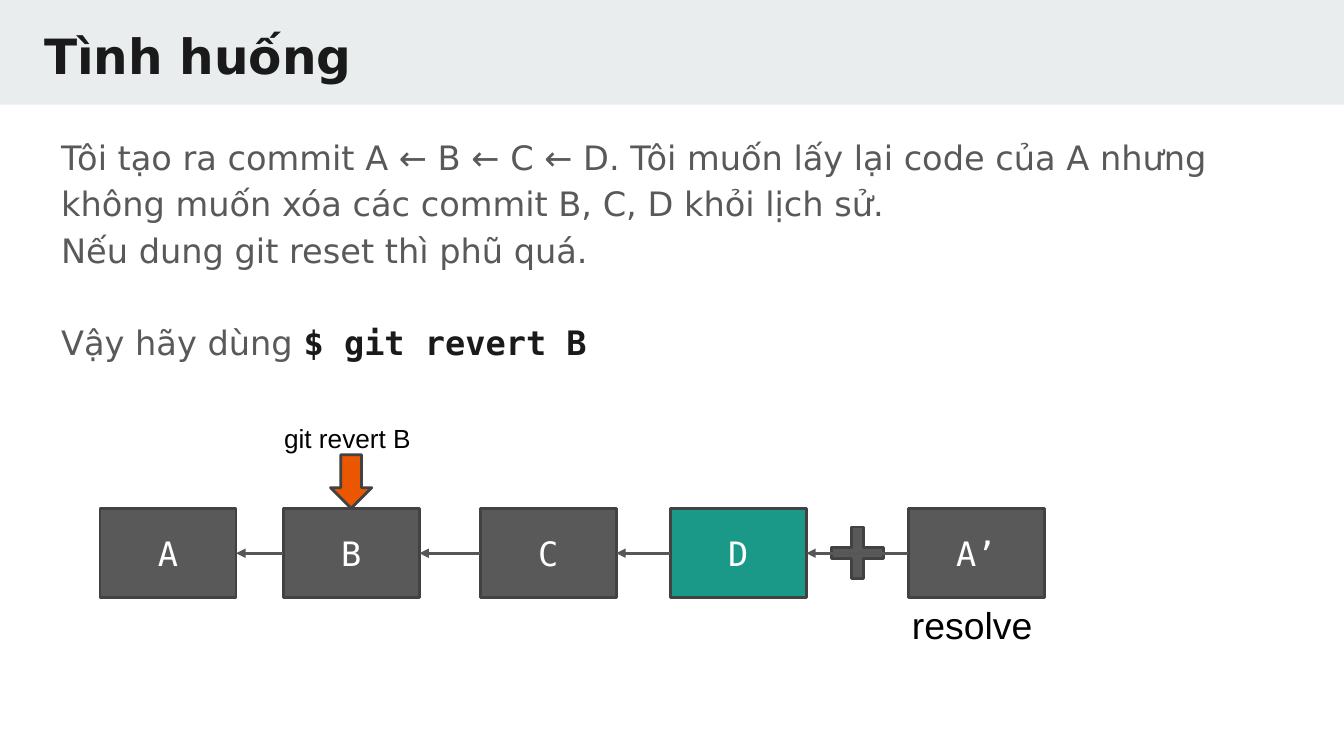
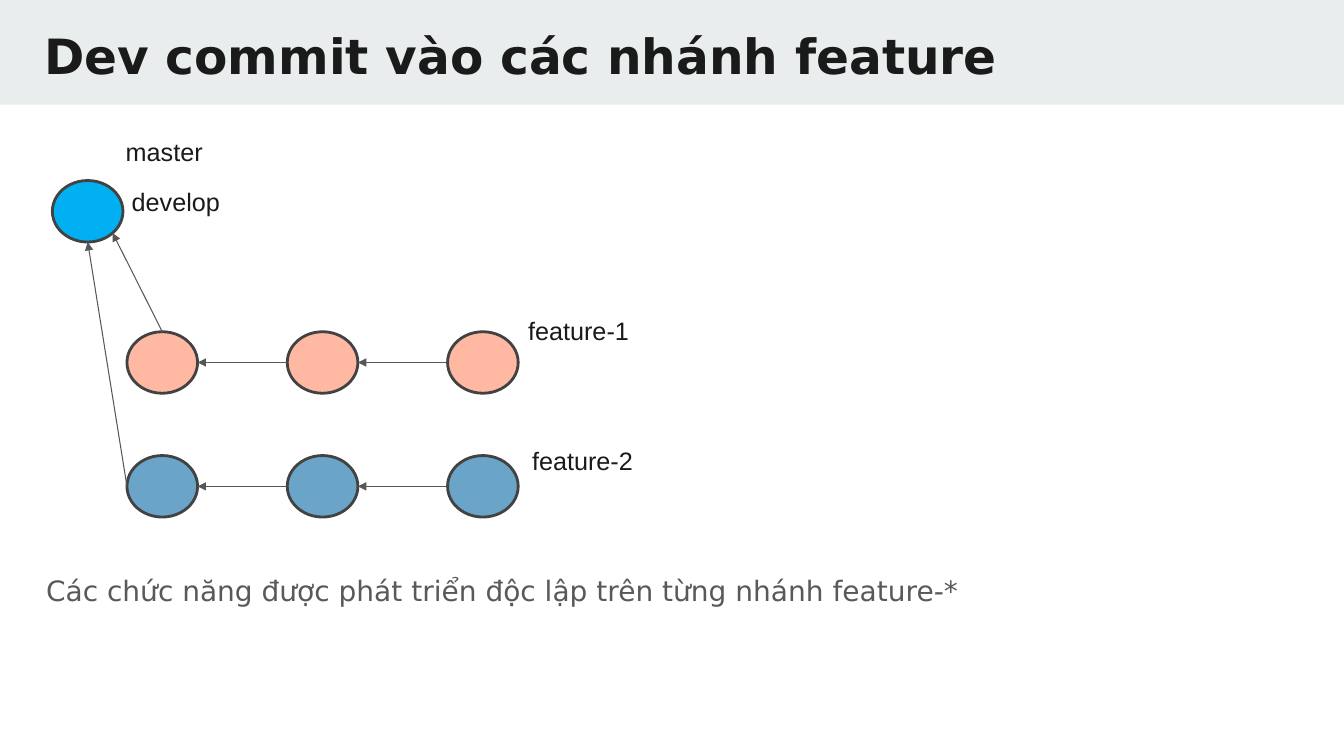
import math

from lxml import etree
from pptx import Presentation
from pptx import util as u
from pptx.dml import color
from pptx.enum import shapes, text
from pptx.oxml import ns

COLORS = {
    "band": "E9EDEE",
    "ink": "1A1A1A",
    "body": "595959",
    "outline": "424242",
    "arrow": "575757",
    "black": "000000",
    "white": "FFFFFF",
    "teal": "1A9988",
    "orange": "EB5600",
    "sky": "00B0F0",
    "peach": "FFB8A2",
    "steel": "6AA4C8",
}
SANS, MONO, LABEL = "DejaVu Sans", "DejaVu Sans Mono", "Arial"
KIND = shapes.MSO_SHAPE
LEFT, RIGHT = 1, 3


def rgb(name):
    return color.RGBColor.from_string(COLORS[name])


class Slides:
    def __init__(self):
        self.deck = Presentation()
        self.deck.slide_width, self.deck.slide_height = u.Cm(33.87), u.Cm(19.05)
        self.layout = self.deck.slide_layouts[1]
        self.page = None

    def start(self, title):
        first = self.page is None
        self.page = self.deck.slides.add_slide(self.layout)
        if first:
            band = self.shape(KIND.RECTANGLE, 0, 0, 33.87, 2.64, "band", outline=None)
            self.layout.shapes.element.insert(2, band.element)
        para = self.placeholder(self.page.shapes.title, 0.86, 0.41, 32.26, 1.98)
        para.alignment = text.PP_ALIGN.LEFT
        self.span(para, title, 34.7, SANS, "ink", bold=True)

    def placeholder(self, box, left, top, width, height):
        box.left, box.top, box.width, box.height = map(u.Cm, (left, top, width, height))
        frame = box.text_frame
        frame.auto_size = text.MSO_AUTO_SIZE.NONE
        frame.margin_left = frame.margin_right = u.Cm(0.25)
        frame.margin_top = frame.margin_bottom = u.Cm(0.25)
        return frame.paragraphs[0]

    def span(self, para, words, size, font, ink, bold=False):
        span = para.add_run()
        span.text = words
        span.font.size = u.Pt(size)
        span.font.name = font
        span.font.bold = bold
        span.font.color.rgb = rgb(ink)

    def body(self, left, top, height, size, spacing, paragraphs):
        box = self.page.placeholders[1]
        para = self.placeholder(box, left, top, 31.9, height)
        for index, (gap, spans) in enumerate(paragraphs):
            if index:
                para = box.text_frame.add_paragraph()
            para.line_spacing = spacing
            para.space_before = u.Pt(gap)
            properties = para._p.get_or_add_pPr()
            properties.set("marL", str(u.Cm(0.43)))
            properties.set("indent", "0")
            etree.SubElement(properties, ns.qn("a:buNone"))
            for words, font, ink, bold in spans:
                self.span(para, words, size, font, ink, bold)

    def shape(self, kind, left, top, width, height, fill, outline="outline", words=None):
        box = self.page.shapes.add_shape(kind, *map(u.Cm, (left, top, width, height)))
        box.shadow.inherit = False
        box.fill.solid()
        box.fill.fore_color.rgb = rgb(fill)
        if outline:
            box.line.color.rgb = rgb(outline)
            box.line.width = u.Pt(2)
        else:
            box.line.fill.background()
        if words:
            box.text_frame.vertical_anchor = text.MSO_ANCHOR.MIDDLE
            para = box.text_frame.paragraphs[0]
            para.alignment = text.PP_ALIGN.CENTER
            self.span(para, words, 24, MONO, "white")
        return box

    def label(self, words, left, top, width, height, size=18, ink="ink", wrap=True):
        box = self.page.shapes.add_textbox(*map(u.Cm, (left, top, width, height)))
        box.text_frame.word_wrap = wrap
        box.text_frame.auto_size = text.MSO_AUTO_SIZE.SHAPE_TO_FIT_TEXT
        self.span(box.text_frame.paragraphs[0], words, size, LABEL, ink)
        return box

    def arrow(self, start=(0, 0), end=(0, 0), width=0.75):
        line = self.page.shapes.add_connector(
            shapes.MSO_CONNECTOR.STRAIGHT, *map(u.Cm, (*start, *end)))
        line.line.color.rgb = rgb("arrow")
        line.line.width = u.Pt(width)
        etree.SubElement(line.line._get_or_add_ln(), ns.qn("a:tailEnd"), type="triangle")
        etree.SubElement(line._element.spPr, ns.qn("a:effectLst"))
        return line

    def join(self, source, target):
        line = self.arrow(width=2.25)
        line.begin_connect(source, LEFT)
        line.end_connect(target, RIGHT)


def revert_slide(slides):
    slides.start("Tình huống")
    slides.body(0.86, 3.05, 6.38, 24, 1.15, [
        (0, [("Tôi tạo ra commit A ← B ← C ← D. Tôi muốn lấy lại code của A nhưng "
              "không muốn xóa các commit B, C, D khỏi lịch sử.", SANS, "body", False)]),
        (0, [("Nếu dung git reset thì phũ quá.", SANS, "body", False)]),
        (33, [("Vậy hãy dùng ", SANS, "body", False),
              ("$ git revert B", MONO, "ink", True)]),
    ])
    commits = [
        slides.shape(KIND.RECTANGLE, left, 12.82, 3.43, 2.24, fill, words=name)
        for name, left, fill in (
            ("A", 2.52, "body"), ("B", 7.14, "body"), ("C", 12.1, "body"),
            ("D", 16.89, "teal"), ("A’", 22.89, "body"))
    ]
    plus = slides.shape(KIND.CROSS, 20.96, 13.28, 1.3, 1.3, "body")
    plus.adjustments[0] = 0.39
    for target, source in zip(commits, commits[1:]):
        slides.join(source, target)
    slides.label("resolve", 22.73, 15.04, 3.58, 1.4, 26.7, "black", wrap=False)
    pointer = slides.shape(KIND.DOWN_ARROW, 8.33, 11.46, 1.04, 1.35, "orange")
    command = slides.label("git revert B", 6.91, 10.52, 3.73, 1.07, 18.7, "black", wrap=False)
    slides.page.shapes.add_group_shape([pointer, command])


def feature_slide(slides):
    slides.start("Dev commit vào các nhánh feature")
    wide, high = 1.78, 1.55
    develop_left, develop_top = 1.32, 4.55
    columns = [3.2 + 4.04 * index for index in range(3)]
    branches = (("peach", 8.36), ("steel", 11.48))

    slides.shape(KIND.OVAL, develop_left, develop_top, wide, high, "sky")
    for fill, top in branches:
        for left in columns:
            slides.shape(KIND.OVAL, left, top, wide, high, fill)
        middle = top + high / 2
        for target, source in zip(columns, columns[1:]):
            slides.arrow((source, middle), (target + wide, middle))

    center_x, center_y = develop_left + wide / 2, develop_top + high / 2
    diagonal = math.sqrt(0.5) / 2
    slides.arrow((columns[0] + wide / 2, branches[0][1]),
                 (center_x + wide * diagonal, center_y + high * diagonal))
    slides.arrow((columns[0], branches[1][1] + high / 2),
                 (center_x, develop_top + high))

    for words, left, top, width in (
            ("master", 2.92, 3.3, 2.54), ("develop", 3.07, 4.57, 3.12),
            ("feature-1", 13.06, 7.82, 3.4), ("feature-2", 13.16, 11.1, 3.4)):
        slides.label(words, left, top, width, 1.02)
    slides.body(0.48, 13.77, 4.06, 20, 1.5, [
        (0, [("Các chức năng được phát triển độc lập trên từng nhánh feature-*",
              SANS, "body", False)]),
    ])


def main():
    slides = Slides()
    revert_slide(slides)
    feature_slide(slides)
    slides.deck.save("out.pptx")


if __name__ == "__main__":
    main()
